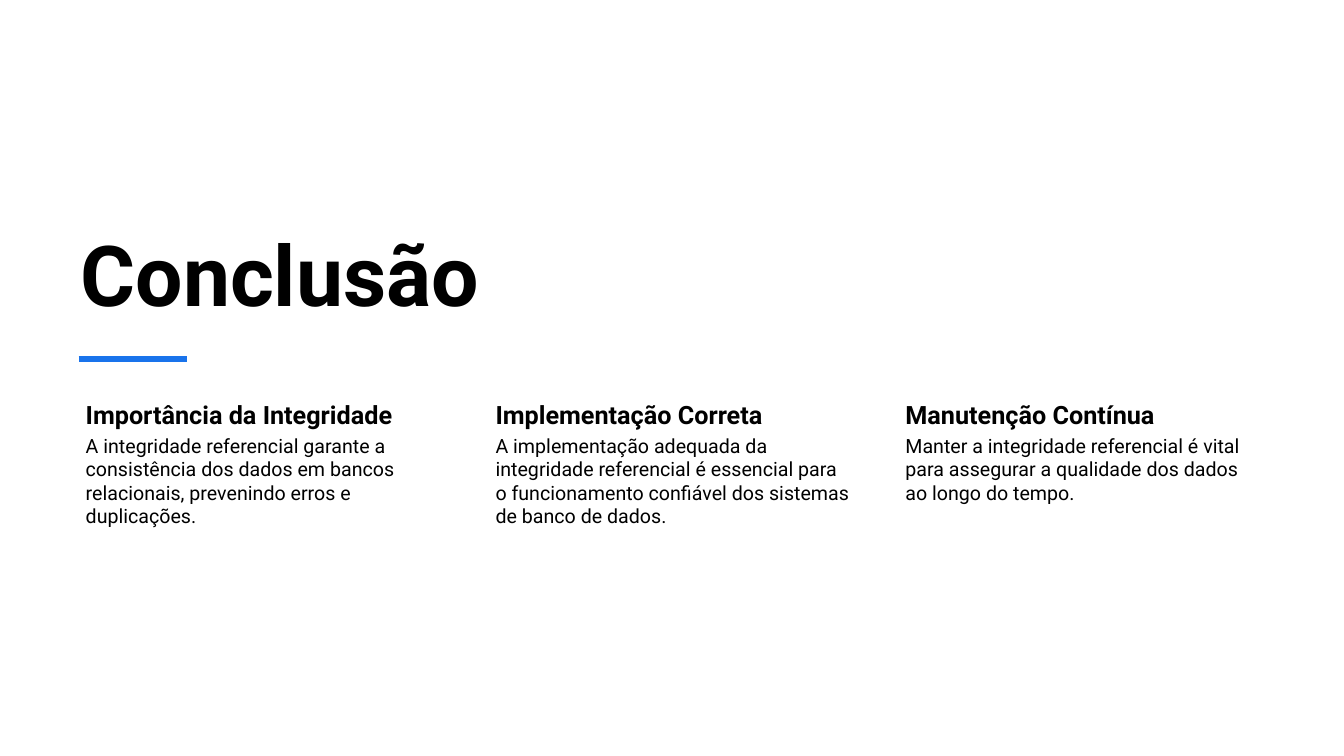
from dataclasses import dataclass

import pptx
import pptx.dml.color
import pptx.enum.shapes
import pptx.enum.text
import pptx.util
from lxml import etree
from pptx.util import Inches


@dataclass(frozen=True)
class Theme:
    font: str = "Roboto"
    ink: str = "000000"
    accent: str = "1973EB"
    background: str = "FFFFFF"
    title_size: int = 60
    heading_size: int = 18
    body_size: int = 14
    rule_width: float = 4.5


THEME = Theme()
COLUMN_LEFT = 0.7
COLUMN_STEP = 4.065
COLUMN_WIDTH = 3.69
HEADING_TOP = 3.93
HEADING_HEIGHT = 0.35
BODY_HEIGHT = 2.34

COLUMNS = [
    (
        "Importância da Integridade",
        "A integridade referencial garante a consistência dos dados em bancos "
        "relacionais, prevenindo erros e duplicações.",
    ),
    (
        "Implementação Correta",
        "A implementação adequada da integridade referencial é essencial para "
        "o funcionamento confiável dos sistemas de banco de dados.",
    ),
    (
        "Manutenção Contínua",
        "Manter a integridade referencial é vital para assegurar a qualidade "
        "dos dados ao longo do tempo.",
    ),
]


def color(value):
    return pptx.dml.color.RGBColor.from_string(value)


def write_text(box, text, size, bold=False, anchor="TOP", insets=(0.1, 0.05, 0.1, 0.05)):
    frame = box.text_frame
    frame.word_wrap = True
    frame.auto_size = pptx.enum.text.MSO_AUTO_SIZE.NONE
    frame.vertical_anchor = pptx.enum.text.MSO_ANCHOR[anchor]
    frame.margin_left, frame.margin_top, frame.margin_right, frame.margin_bottom = map(
        Inches, insets
    )
    para = frame.paragraphs[0]
    para.alignment = pptx.enum.text.PP_ALIGN.LEFT
    span = para.add_run()
    span.text = text
    span.font.name = THEME.font
    span.font.size = pptx.util.Pt(size)
    span.font.bold = bold
    span.font.color.rgb = color(THEME.ink)


def add_title(page, text):
    title = page.shapes.title
    title.left, title.top = Inches(0.7), Inches(1.72)
    title.width, title.height = Inches(8.93), Inches(1.54)
    write_text(title, text, THEME.title_size, bold=True, anchor="BOTTOM")


def add_column(group, left, heading, body):
    heading_box = group.shapes.add_textbox(
        Inches(left), Inches(HEADING_TOP), Inches(COLUMN_WIDTH), Inches(HEADING_HEIGHT)
    )
    write_text(
        heading_box, heading, THEME.heading_size, bold=True, insets=(0.15, 0.03, 0.03, 0.03)
    )
    body_box = group.shapes.add_textbox(
        Inches(left),
        Inches(HEADING_TOP + HEADING_HEIGHT),
        Inches(COLUMN_WIDTH),
        Inches(BODY_HEIGHT),
    )
    write_text(body_box, body, THEME.body_size, insets=(0.15, 0.02, 0.02, 0.02))


def add_rule(page, left, right, top):
    rule = page.shapes.add_connector(
        pptx.enum.shapes.MSO_CONNECTOR.STRAIGHT,
        Inches(left), Inches(top), Inches(right), Inches(top),
    )
    rule.line.color.rgb = color(THEME.accent)
    rule.line.width = pptx.util.Pt(THEME.rule_width)
    etree.SubElement(rule._element.spPr, pptx.oxml.ns.qn("a:effectLst"))


def main():
    deck = pptx.Presentation()
    deck.slide_width, deck.slide_height = Inches(13.33), Inches(7.5)
    page = deck.slides.add_slide(deck.slide_layouts.get_by_name("Title Only"))
    page.background.fill.solid()
    page.background.fill.fore_color.rgb = color(THEME.background)

    add_title(page, "Conclusão")
    columns = page.shapes.add_group_shape()
    for index, (heading, body) in enumerate(COLUMNS):
        add_column(columns, COLUMN_LEFT + index * COLUMN_STEP, heading, body)
    add_rule(page, 0.78, 1.85, 3.56)

    deck.save("out.pptx")


if __name__ == "__main__":
    main()
